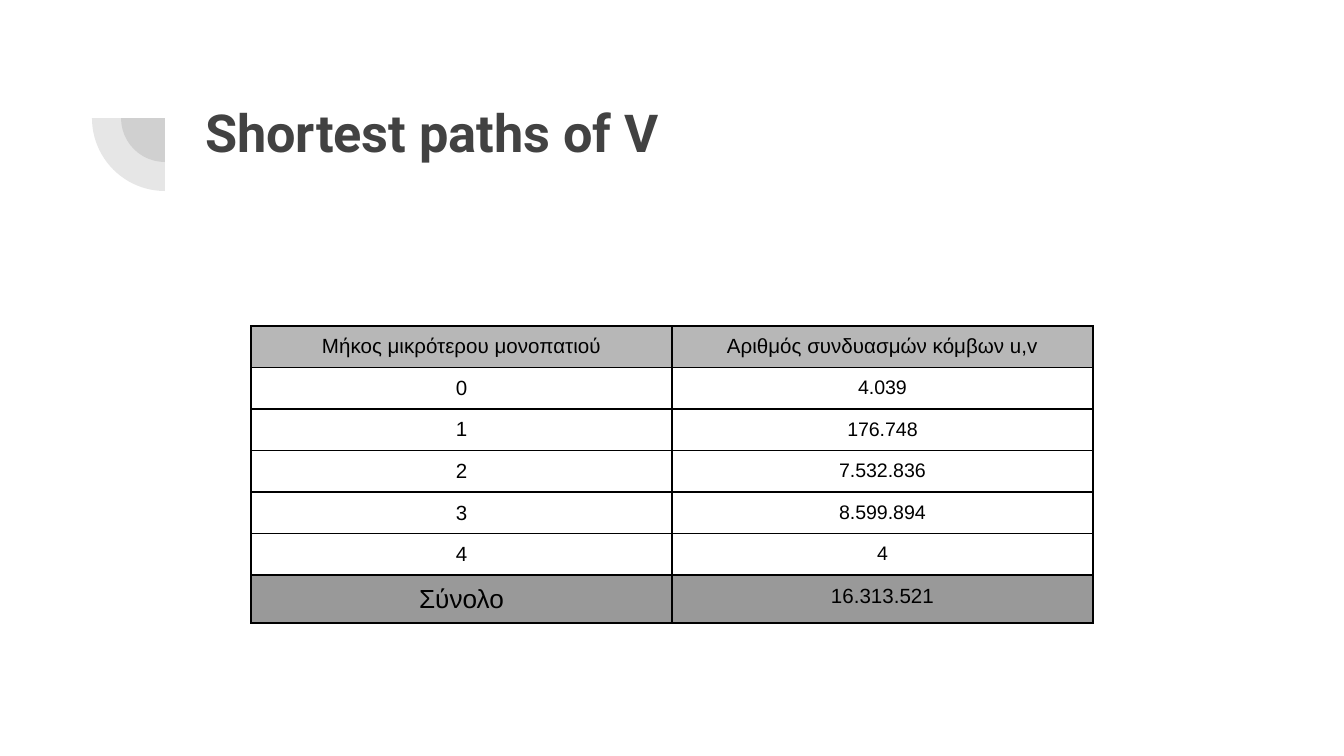
from dataclasses import dataclass

from lxml import etree
from pptx import Presentation
from pptx.dml.color import RGBColor
from pptx.enum.shapes import MSO_SHAPE
from pptx.enum.text import MSO_ANCHOR, MSO_AUTO_SIZE, PP_ALIGN
from pptx.oxml.ns import qn
from pptx.util import Emu, Pt

PIE = MSO_SHAPE.PIE
TOP = MSO_ANCHOR.TOP
NO_AUTOFIT = MSO_AUTO_SIZE.NONE
LEFT, CENTER = PP_ALIGN.LEFT, PP_ALIGN.CENTER
PX_PER_INCH = 134.4
TITLE_ONLY = 5


@dataclass(frozen=True)
class Theme:
    """Hold the colours, fonts and type sizes of the slide."""
    ink: str = "424242"
    black: str = "000000"
    header: str = "B7B7B7"
    total: str = "999999"
    title_font: str = "Roboto"
    table_font: str = "Arial"
    title: float = 28
    label: float = 11
    count: float = 10.5
    sum_label: float = 14
    border: float = 1
    cell_inset: float = 5
    pie_alpha: int = 13


THEME = Theme()
HEADER = ("Μήκος μικρότερου μονοπατιού", "Αριθμός συνδυασμών κόμβων u,v")
COUNTS = ("4.039", "176.748", "7.532.836", "8.599.894", "4")
TOTAL = ("Σύνολο", "16.313.521")


def px(n):
    """Turn pixels into EMU."""
    return Emu(round(n * 914400 / PX_PER_INCH))


def add_run(p, text, font, size, color, bold=False):
    """Add one formatted run to a paragraph."""
    r = p.add_run()
    r.text = text
    r.font.name, r.font.size, r.font.bold = font, Pt(size), bold
    r.font.color.rgb = RGBColor.from_string(color)


def add_quarter(s, cx, cy, radius):
    """Add a translucent lower-left quarter disc around a centre."""
    sp = s.shapes.add_shape(PIE, px(cx - radius), px(cy - radius),
                            px(2 * radius), px(2 * radius))
    sp.adjustments[0], sp.adjustments[1] = 108, 162
    sp.rotation = 270
    sp.shadow.inherit = False
    sp.line.fill.background()
    sp.fill.solid()
    sp.fill.fore_color.rgb = RGBColor.from_string(THEME.ink)
    color = sp.fill._xPr.find(".//" + qn("a:srgbClr"))
    etree.SubElement(color, qn("a:alpha"), val=str(THEME.pie_alpha * 1000))


def set_title(s, text, x, y, w, h):
    """Place and format the title placeholder."""
    sp = s.shapes.title
    sp.left, sp.top, sp.width, sp.height = px(x), px(y), px(w), px(h)
    tf = sp.text_frame
    tf.word_wrap, tf.auto_size, tf.vertical_anchor = True, NO_AUTOFIT, TOP
    tf.margin_left = tf.margin_right = tf.margin_top = tf.margin_bottom = px(13)
    p = tf.paragraphs[0]
    p.alignment = LEFT
    add_run(p, text, THEME.title_font, THEME.title, THEME.ink, True)


def set_borders(cell):
    """Draw a solid line on each side of a cell."""
    tc_pr = cell._tc.get_or_add_tcPr()
    for i, side in enumerate("LRTB"):
        ln = etree.Element(qn(f"a:ln{side}"), w=str(Pt(THEME.border)))
        fill = etree.SubElement(ln, qn("a:solidFill"))
        etree.SubElement(fill, qn("a:srgbClr"), val=THEME.black)
        tc_pr.insert(i, ln)


def set_cell(cell, text, size, fill):
    """Fill, frame and write one table cell."""
    if fill:
        cell.fill.solid()
        cell.fill.fore_color.rgb = RGBColor.from_string(fill)
    else:
        cell.fill.background()
    set_borders(cell)
    cell.margin_left = cell.margin_right = Pt(THEME.cell_inset)
    cell.margin_top = cell.margin_bottom = Pt(THEME.cell_inset)
    p = cell.text_frame.paragraphs[0]
    p.alignment = CENTER
    add_run(p, text, THEME.table_font, size, THEME.black)


def add_path_table(s, x, y, col_w, row_h, last_h):
    """Add the table of path lengths, with a header and a total."""
    rows = [(HEADER, (THEME.label, THEME.label), THEME.header)]
    rows += [((str(n), count), (THEME.label, THEME.count), None)
             for n, count in enumerate(COUNTS)]
    rows.append((TOTAL, (THEME.sum_label, THEME.label), THEME.total))
    height = row_h * (len(rows) - 1) + last_h
    table = s.shapes.add_table(len(rows), len(HEADER), px(x), px(y),
                               px(col_w * len(HEADER)), px(height)).table
    table.first_row = table.horz_banding = False
    for col in table.columns:
        col.width = px(col_w)
    for i, (texts, sizes, fill) in enumerate(rows):
        table.rows[i].height = px(last_h if i == len(rows) - 1 else row_h)
        for j, (text, size) in enumerate(zip(texts, sizes)):
            set_cell(table.cell(i, j), text, size, fill)


def main():
    """Build and save the slide."""
    prs = Presentation()
    prs.slide_width, prs.slide_height = px(1344), px(756)
    s = prs.slides.add_slide(prs.slide_layouts[TITLE_ONLY])
    for radius in (44, 73):
        add_quarter(s, 165, 118, radius)
    set_title(s, "Shortest paths of V", 192, 87, 1034, 146)
    add_path_table(s, 251, 326, 421, 41, 48)
    prs.save("out.pptx")


if __name__ == "__main__":
    main()
